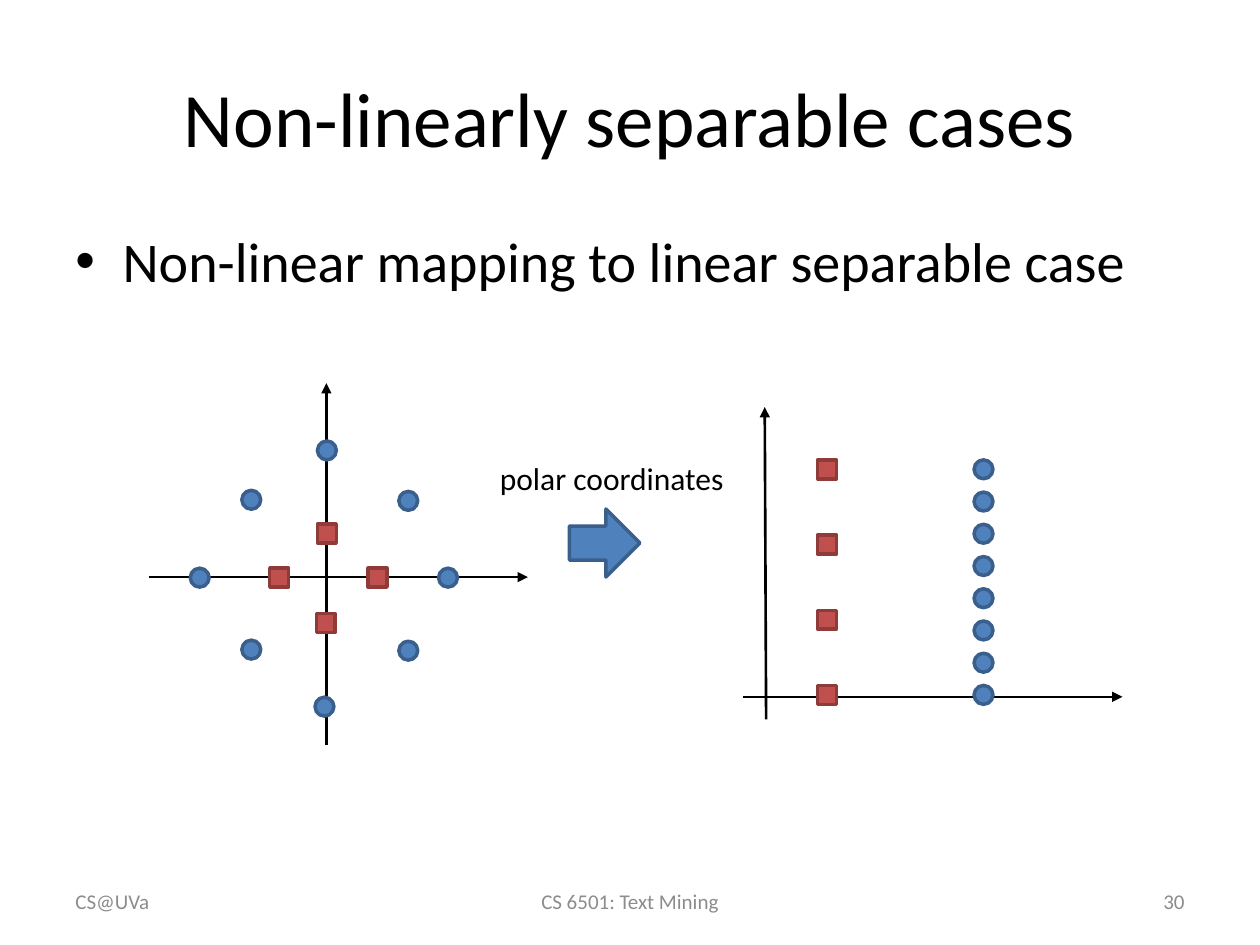
from dataclasses import dataclass

from lxml import etree
from pptx import Presentation
from pptx import util as u
from pptx.dml import color
from pptx.enum import shapes, text
from pptx.oxml import ns


@dataclass(frozen=True)
class Theme:
    font: str = "Calibri"
    ink: str = "000000"
    muted: str = "8C8C8C"
    blue: str = "4F81BD"
    blue_edge: str = "3A5F8C"
    red: str = "C0504D"
    red_edge: str = "8E3B39"
    title_size: float = 44
    body_size: float = 32
    label_size: float = 18
    footer_size: float = 12
    axis_width: float = 1.5
    edge_width: float = 2


THEME = Theme()
MARKER = 10.8
RED_SQUARE = (shapes.MSO_SHAPE.RECTANGLE, THEME.red, THEME.red_edge)
BLUE_CIRCLE = (shapes.MSO_SHAPE.OVAL, THEME.blue, THEME.blue_edge)


def rgb(value):
    return color.RGBColor.from_string(value)


def add_text(page, words, left, top, width, height, *, size, ink=THEME.ink,
             align=text.PP_ALIGN.LEFT, anchor=text.MSO_ANCHOR.MIDDLE,
             wrap=True, bullet_indent=0):
    box = page.shapes.add_textbox(u.Pt(left), u.Pt(top), u.Pt(width), u.Pt(height))
    frame = box.text_frame
    frame.word_wrap = wrap
    frame.vertical_anchor = anchor
    if not wrap:
        frame.auto_size = text.MSO_AUTO_SIZE.SHAPE_TO_FIT_TEXT
    para = frame.paragraphs[0]
    para.alignment = align
    if bullet_indent:
        props = para._p.get_or_add_pPr()
        props.set("marL", str(u.Pt(bullet_indent)))
        props.set("indent", str(-u.Pt(bullet_indent)))
        etree.SubElement(props, ns.qn("a:buFont"), typeface="Arial")
        etree.SubElement(props, ns.qn("a:buChar"), char="•")
    span = para.add_run()
    span.text = words
    span.font.name = THEME.font
    span.font.size = u.Pt(size)
    span.font.color.rgb = rgb(ink)


def add_axis(page, x1, y1, x2, y2):
    axis = page.shapes.add_connector(
        shapes.MSO_CONNECTOR.STRAIGHT, u.Pt(x1), u.Pt(y1), u.Pt(x2), u.Pt(y2))
    axis.line.color.rgb = rgb(THEME.ink)
    axis.line.width = u.Pt(THEME.axis_width)
    etree.SubElement(axis.line._get_or_add_ln(), ns.qn("a:tailEnd"), type="triangle")
    etree.SubElement(axis._element.spPr, ns.qn("a:effectLst"))


def add_shape(parent, style, left, top, width=MARKER, height=MARKER):
    preset, fill, edge = style
    shape = parent.shapes.add_shape(
        preset, u.Pt(left), u.Pt(top), u.Pt(width), u.Pt(height))
    shape.shadow.inherit = False
    shape.fill.solid()
    shape.fill.fore_color.rgb = rgb(fill)
    shape.line.color.rgb = rgb(edge)
    shape.line.width = u.Pt(THEME.edge_width)


def add_markers(parent, style, corners):
    for left, top in corners:
        add_shape(parent, style, left, top)


def add_column(page, style, left, top, bottom, count):
    group = page.shapes.add_group_shape()
    step = (bottom - top) / (count - 1)
    add_markers(group, style, [(left, top + i * step) for i in range(count)])


def add_cartesian_plot(page):
    add_axis(page, 85, 329.8, 301.7, 329.8)
    add_axis(page, 186.5, 425.5, 186.5, 218.9)
    add_markers(page, RED_SQUARE, [
        (154.1, 324.7), (210.4, 324.7), (181.4, 299.5), (180.8, 350.6)])
    add_markers(page, BLUE_CIRCLE, [
        (108.7, 324.7), (250.6, 324.7), (181.4, 252), (180, 398.4),
        (138.2, 280.2), (227.9, 280.8), (138.2, 365.8), (227.9, 366.4)])


def add_polar_plot(page):
    add_axis(page, 424.8, 398.2, 641.5, 398.2)
    add_axis(page, 437.8, 411.1, 437, 232.6)
    add_column(page, RED_SQUARE, 467.2, 262.8, 391.7, 4)
    add_column(page, BLUE_CIRCLE, 556.6, 262.8, 391.7, 8)


def add_footer(page):
    for words, left, width, align in (
            ("CS@UVa", 36, 168, text.PP_ALIGN.LEFT),
            ("CS 6501: Text Mining", 246, 228, text.PP_ALIGN.CENTER),
            ("30", 516, 168, text.PP_ALIGN.RIGHT)):
        add_text(page, words, left, 500.5, width, 28.75, size=THEME.footer_size,
                 ink=THEME.muted, align=align)


def main():
    deck = Presentation()
    deck.slide_width, deck.slide_height = u.Pt(720), u.Pt(540)
    page = deck.slides.add_slide(deck.slide_layouts[6])
    add_text(page, "Non-linearly separable cases", 36, 21.6, 648, 90,
             size=THEME.title_size, align=text.PP_ALIGN.CENTER)
    add_text(page, "Non-linear mapping to linear separable case", 36, 126, 648, 356.4,
             size=THEME.body_size, anchor=text.MSO_ANCHOR.TOP, bullet_indent=27)
    add_footer(page)
    add_cartesian_plot(page)
    add_text(page, "polar coordinates", 278.6, 258.6, 144, 29, size=THEME.label_size,
             anchor=text.MSO_ANCHOR.TOP, wrap=False)
    add_shape(page, (shapes.MSO_SHAPE.RIGHT_ARROW, THEME.blue, THEME.blue_edge),
              325.4, 290.9, 40.3, 38.9)
    add_polar_plot(page)
    deck.save("out.pptx")


if __name__ == "__main__":
    main()
